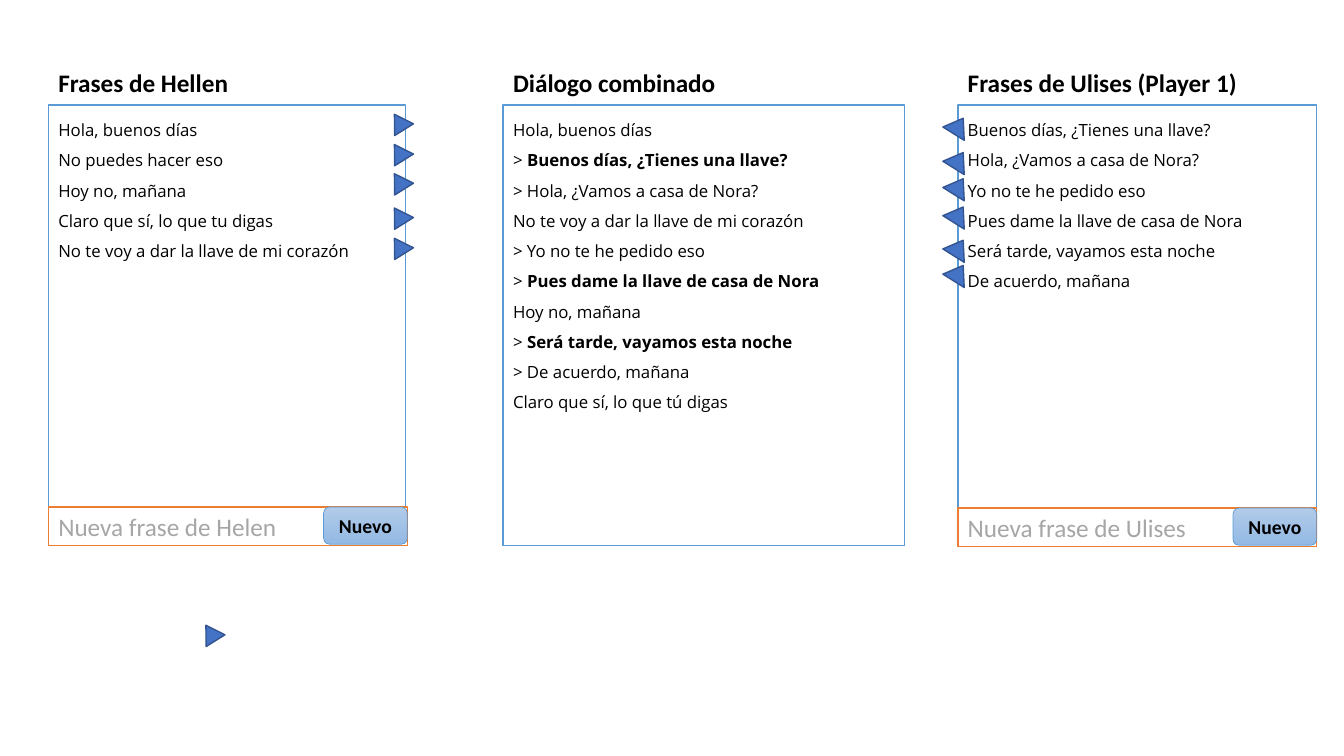
import pptx
import pptx.util
import pptx.dml.color
import pptx.enum.shapes
import pptx.enum.text

Inches, Pt = pptx.util.Inches, pptx.util.Pt
RGB = pptx.dml.color.RGBColor.from_string
KIND = pptx.enum.shapes.MSO_SHAPE
ANCHOR = pptx.enum.text.MSO_ANCHOR
ALIGN = pptx.enum.text.PP_ALIGN

THEME = {
    "white": "FFFFFF", "ink": "000000", "hint": "A6A6A6",
    "frame": "5B9BD5", "entry": "ED7D31",
    "arrow": "4472C4", "edge": "325491",
    "light": "B1CBE9", "deep": "93B9E4",
    "font": "Calibri", "body": "Open Sans",
    "head": 18, "list": 12, "label": 14,
}

deck = pptx.Presentation()
deck.slide_width, deck.slide_height = Inches(13.33), Inches(7.5)
slide = deck.slides.add_slide(deck.slide_layouts[6])


def draw(shapes, kind, box, fill, line, width=1):
    shape = shapes.add_shape(kind, *[Inches(n) for n in box])
    shape.shadow.inherit = False
    shape.fill.solid()
    shape.fill.fore_color.rgb = RGB(THEME[fill])
    shape.line.color.rgb = RGB(THEME[line])
    shape.line.width = Pt(width)
    return shape


def write(shape, lines, font, size, color="ink", bold=False,
          anchor=ANCHOR.TOP, align=ALIGN.LEFT, gap=None):
    frame = shape.text_frame
    frame.word_wrap = True
    frame.vertical_anchor = anchor
    frame.text = "\n".join(lines)
    for para in frame.paragraphs:
        para.alignment = align
        para.line_spacing = gap
        for run in para.runs:
            run.font.name = THEME[font]
            run.font.size = Pt(THEME[size])
            run.font.bold = bold
            run.font.color.rgb = RGB(THEME[color])


# Panels: left, width, heading width, heading, phrases
panels = [
    (0.48, 3.54, 3.54, "Frases de Hellen", [
        "Hola, buenos días",
        "No puedes hacer eso",
        "Hoy no, mañana",
        "Claro que sí, lo que tu digas",
        "No te voy a dar la llave de mi corazón"]),
    (9.5, 3.56, 3.23, "Frases de Ulises (Player 1)", [
        "Buenos días, ¿Tienes una llave?",
        "Hola, ¿Vamos a casa de Nora?",
        "Yo no te he pedido eso",
        "Pues dame la llave de casa de Nora",
        "Será tarde, vayamos esta noche",
        "De acuerdo, mañana"]),
    (4.99, 3.98, 3.54, "Diálogo combinado", [
        "Hola, buenos días",
        "> Buenos días, ¿Tienes una llave?",
        "> Hola, ¿Vamos a casa de Nora?",
        "No te voy a dar la llave de mi corazón",
        "> Yo no te he pedido eso",
        "> Pues dame la llave de casa de Nora",
        "Hoy no, mañana",
        "> Será tarde, vayamos esta noche",
        "> De acuerdo, mañana",
        "Claro que sí, lo que tú digas"]),
]
for left, width, span, head, lines in panels:
    panel = draw(slide.shapes, KIND.RECTANGLE, (left, 1.04, width, 4.37),
                 "white", "frame")
    write(panel, lines, "body", "list", gap=1.5)
    title = slide.shapes.add_textbox(
        Inches(left), Inches(0.62), Inches(span), Inches(0.4))
    write(title, [head], "font", "head", bold=True)

# Bold replies in the combined dialogue, the last panel drawn
for row in (1, 5, 7):
    para = panel.text_frame.paragraphs[row]
    mark = para.runs[0]
    reply = para.add_run()
    reply.text = mark.text[2:]
    mark.text = "> "
    reply.font.name = THEME["body"]
    reply.font.size = Pt(THEME["list"])
    reply.font.bold = True
    reply.font.color.rgb = RGB(THEME["ink"])

# Arrows: one spare, a group for Hellen, a column for Ulises
group = slide.shapes.add_group_shape()
arrows = [(slide.shapes, 1.98, 6.19, 0.22, 328)]
arrows += [(group.shapes, 3.85, top, 0.22, 328)
           for top in (1.12, 1.42, 1.71, 2.05, 2.35)]
arrows += [(slide.shapes, 9.38, top, 0.25, 32)
           for top in (1.16, 1.5, 1.76, 2.04, 2.37, 2.62)]
for shapes, left, top, width, turn in arrows:
    arrow = draw(shapes, KIND.FLOWCHART_EXTRACT, (left, top, width, 0.18),
                 "arrow", "edge")
    arrow.rotation = turn

# Entry fields with their buttons
for left, top, name in ((0.48, 5.03, "Helen"), (9.5, 5.04, "Ulises")):
    field = draw(slide.shapes, KIND.RECTANGLE, (left, top, 3.56, 0.38),
                 "white", "entry")
    write(field, [f"Nueva frase de {name}"], "font", "head", "hint",
          anchor=ANCHOR.MIDDLE)
    button = draw(slide.shapes, KIND.ROUNDED_RECTANGLE,
                  (left + 2.73, top, 0.83, 0.37), "light", "frame", 0.5)
    button.fill.gradient()
    button.fill.gradient_angle = 270
    for stop, tone in zip(button.fill.gradient_stops, ("light", "deep")):
        stop.color.rgb = RGB(THEME[tone])
    write(button, ["Nuevo"], "font", "label", bold=True,
          anchor=ANCHOR.MIDDLE, align=ALIGN.CENTER)

deck.save("out.pptx")
